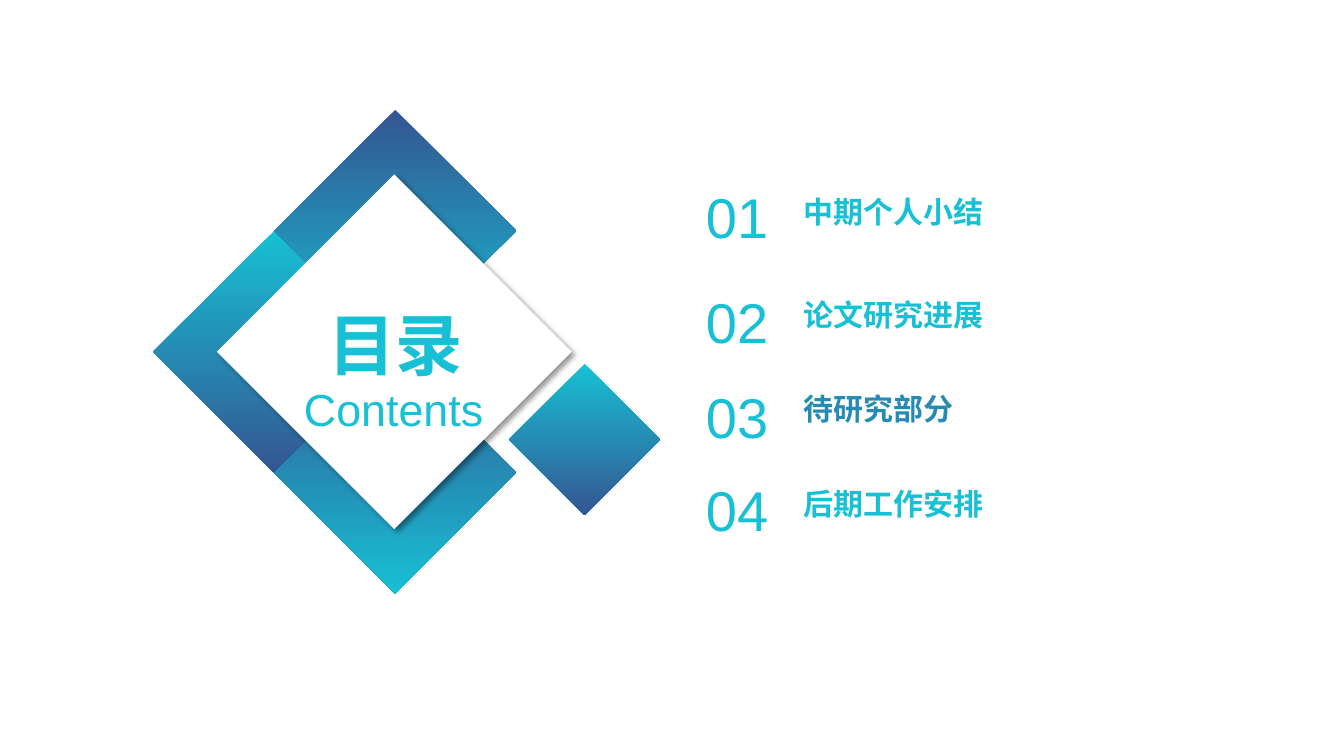
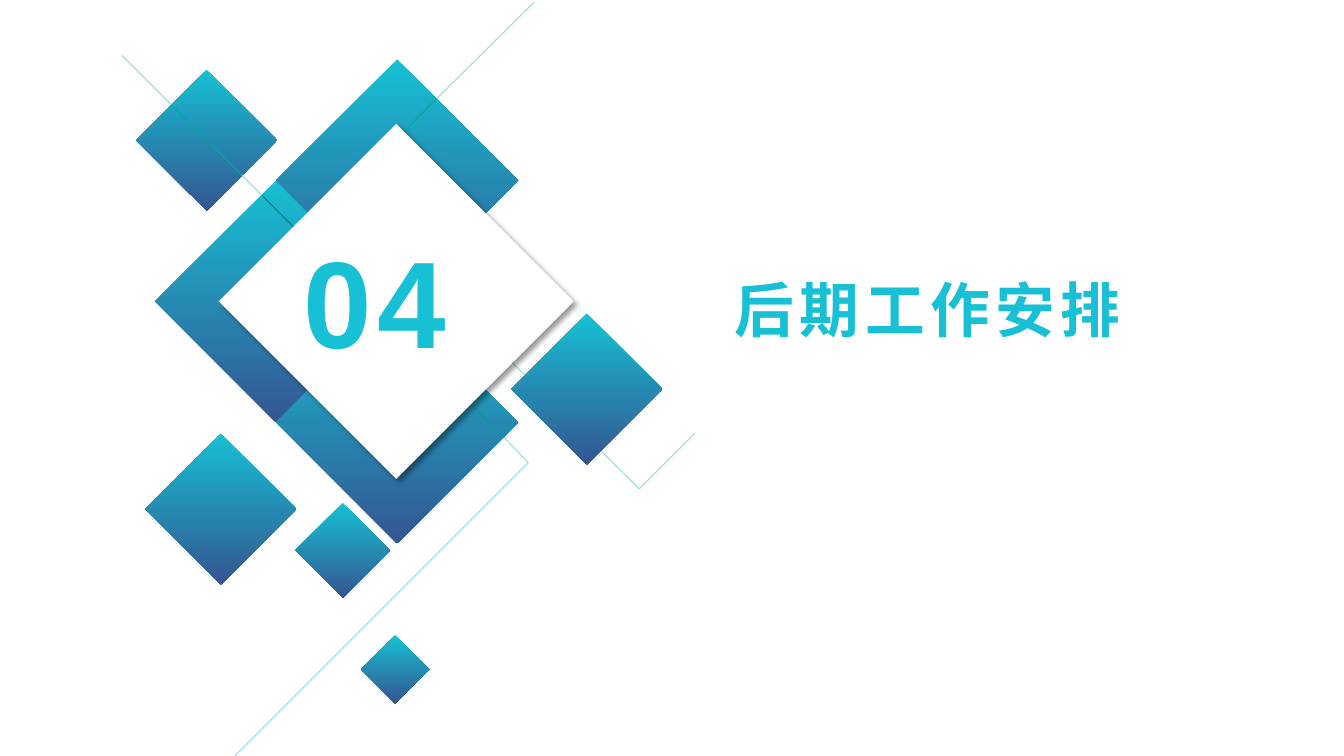
from dataclasses import dataclass

from lxml.etree import SubElement
from pptx import Presentation
from pptx.dml.color import RGBColor
from pptx.enum.lang import MSO_LANGUAGE_ID
from pptx.enum.shapes import MSO_CONNECTOR, MSO_SHAPE
from pptx.enum.text import MSO_ANCHOR, PP_ALIGN
from pptx.oxml.ns import qn
from pptx.util import Inches, Pt


@dataclass(frozen=True)
class Theme:
    font: str = "Arial"
    cyan: str = "17C0D4"
    navy: str = "345692"
    steel: str = "268BB3"
    white: str = "FFFFFF"
    pale: str = "99DDD8"
    green: str = "00A99D"
    deep: str = "008082"
    moss: str = "009D91"
    item: float = 21.4
    subtitle: float = 32
    number: float = 40
    section: float = 42.6
    title: float = 48
    chapter: float = 88


theme = Theme()


def add_diamond(page, left, top, size, upper, lower):
    """Diamond with a vertical gradient, or plain when both colours match."""
    shape = page.shapes.add_shape(
        MSO_SHAPE.DIAMOND, Inches(left), Inches(top), Inches(size), Inches(size))
    shape.shadow.inherit = False
    shape.line.fill.background()
    if upper == lower:
        shape.fill.solid()
        shape.fill.fore_color.rgb = RGBColor.from_string(upper)
        return shape
    shape.fill.gradient()
    shape.fill.gradient_angle = 270
    for stop, colour in zip(shape.fill.gradient_stops, (upper, lower)):
        stop.color.rgb = RGBColor.from_string(colour)
    return shape


def add_label(page, text, left, top, width, height, size, colour=theme.cyan, bold=True,
              align=PP_ALIGN.LEFT, anchor=MSO_ANCHOR.TOP, margins=(0.1, 0.05), spacing=0):
    box = page.shapes.add_textbox(Inches(left), Inches(top), Inches(width), Inches(height))
    frame = box.text_frame
    frame.word_wrap = True
    frame.vertical_anchor = anchor
    frame.margin_left = frame.margin_right = Inches(margins[0])
    frame.margin_top = frame.margin_bottom = Inches(margins[1])
    para = frame.paragraphs[0]
    para.text = text
    para.alignment = align
    span = para.runs[0]
    span.font.name = theme.font
    span.font.size = Pt(size)
    span.font.bold = bold
    span.font.color.rgb = RGBColor.from_string(colour)
    span.font.language_id = MSO_LANGUAGE_ID.SIMPLIFIED_CHINESE
    if spacing:
        span.font._element.set("spc", str(spacing * 100))


deck = Presentation()
deck.slide_width, deck.slide_height = Inches(13.33), Inches(7.5)
blank = deck.slide_layouts[6]
contents = deck.slides.add_slide(blank)
section = deck.slides.add_slide(blank)

# Loose squares around the section emblem
for left, top, size in ((1.35, 0.69, 1.4), (2.93, 4.99, 0.94), (1.44, 4.3, 1.5), (3.58, 6.3, 0.68)):
    add_diamond(section, left, top, size, theme.cyan, theme.navy)

# Thin lines: colour, then the points they run through
section_lines = (
    (theme.pale, (4.21, 2.73), (6.34, 4.85), (6.89, 4.3)),
    (theme.pale, (5.3, 0.02), (4.33, 0.98)),
    (theme.green, (4.33, 0.98), (3.4, 1.91), (4.21, 2.73)),
    (theme.pale, (5, 4.34), (5.24, 4.59), (2.33, 7.5)),
    (theme.pale, (1.21, 0.55), (1.7, 1.04)),
    (theme.green, (1.7, 1.04), (2.4, 1.74)),
    (theme.pale, (2.4, 1.74), (2.6, 1.94)),
    (theme.deep, (2.6, 1.94), (3.8, 3.14)),
    (theme.moss, (3.8, 3.14), (5, 4.34)),
)

# Emblem on both slides: frame, lines, white centre, accent
falling = (theme.cyan, theme.navy)
rising = (theme.navy, theme.cyan)
for page, left, top, side_fill, lines in (
        (contents, 1.52, 1.09, rising, ()),
        (section, 1.54, 0.59, falling, section_lines)):
    for across, down, fill in ((0, 1.2, falling), (1.2, 0, side_fill), (1.2, 2.4, side_fill)):
        add_diamond(page, left + across, top + down, 2.4, *fill)

    for colour, *points in lines:
        for start, end in zip(points, points[1:]):
            line = page.shapes.add_connector(
                MSO_CONNECTOR.STRAIGHT, *map(Inches, start), *map(Inches, end))
            line.line.width = Pt(0.75)
            line.line.color.rgb = RGBColor.from_string(colour)
            SubElement(line._element.spPr, qn("a:effectLst"))

    centre = add_diamond(page, left + 0.63, top + 0.64, 3.52, theme.white, theme.white)
    effects = centre._element.spPr.find(qn("a:effectLst"))
    shadow = SubElement(effects, qn("a:outerShdw"), blurRad=str(Pt(4)), dist=str(Pt(3)),
                        dir=str(45 * 60000), algn="tl", rotWithShape="0")
    black = SubElement(shadow, qn("a:srgbClr"), val="000000")
    SubElement(black, qn("a:alpha"), val="40000")

    add_diamond(page, left + 3.53, top + 2.52, 1.5, *falling)

# Contents: heading
add_label(contents, "Contents", 2.92, 3.76, 1.97, 0.56, theme.subtitle, bold=False,
          align=PP_ALIGN.CENTER, anchor=MSO_ANCHOR.BOTTOM, margins=(0, 0))
add_label(contents, "目录", 2.94, 2.96, 1.97, 1.01, theme.title, align=PP_ALIGN.CENTER)

# Contents: numbered items
items = (
    ("中期个人小结", 1.76, 1.78, theme.cyan),
    ("论文研究进展", 2.8, 2.8, theme.cyan),
    ("待研究部分", 3.74, 3.73, theme.steel),
    ("后期工作安排", 4.67, 4.67, theme.cyan),
)
for index, (name, number_top, name_top, colour) in enumerate(items, start=1):
    add_label(contents, f"{index:02}", 6.91, number_top, 0.8, 0.77, theme.number, bold=False,
              align=PP_ALIGN.CENTER, anchor=MSO_ANCHOR.MIDDLE, margins=(0, 0.05))
    add_label(contents, name, 7.97, name_top, 3.81, 0.5, theme.item, colour,
              anchor=MSO_ANCHOR.BOTTOM, margins=(0, 0))

# Section: number and title
add_label(section, "04", 2.91, 2.19, 1.85, 1.58, theme.chapter, spacing=4)
add_label(section, "后期工作安排", 7.19, 2.66, 5.9, 0.82, theme.section, spacing=4)

deck.save("out.pptx")
